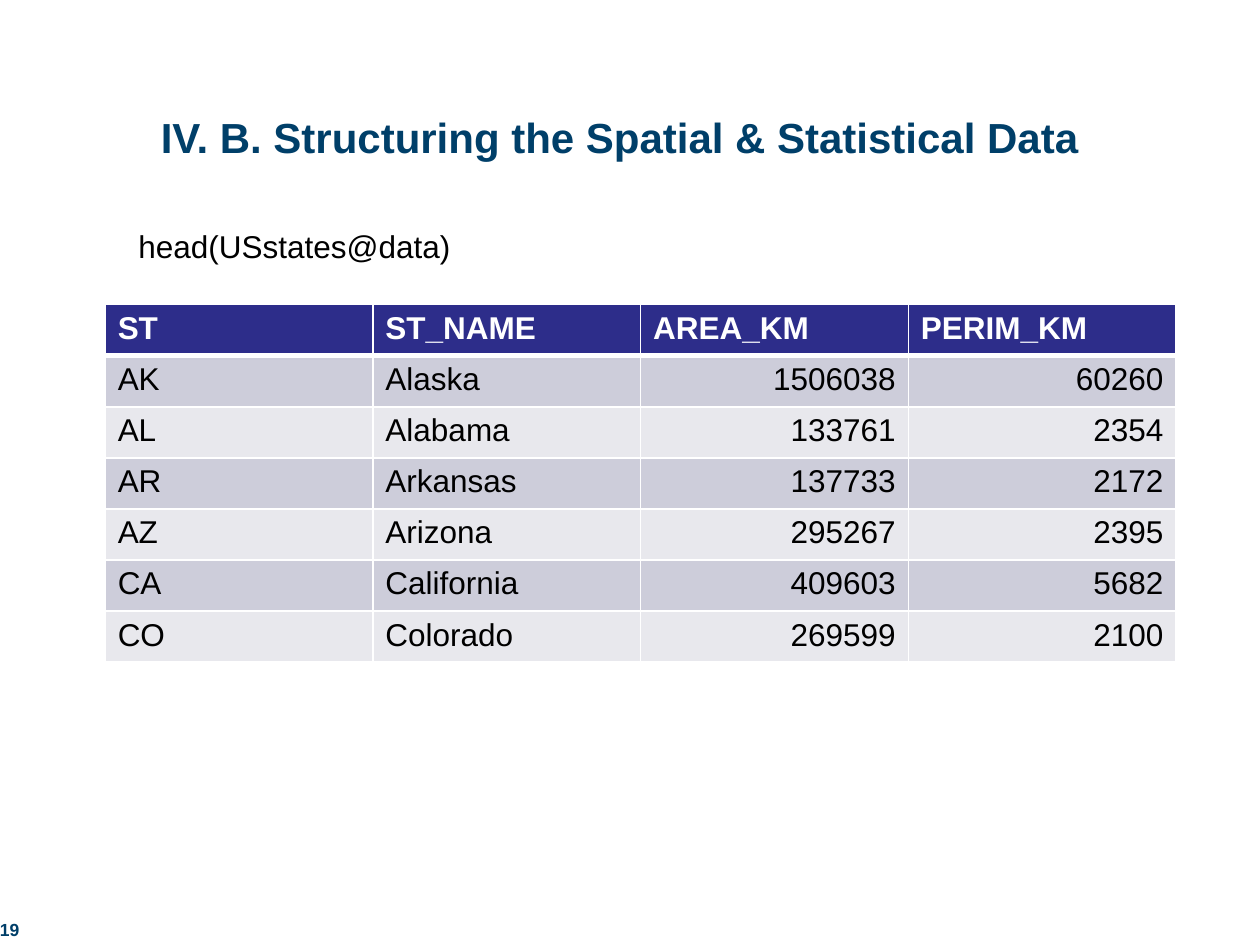
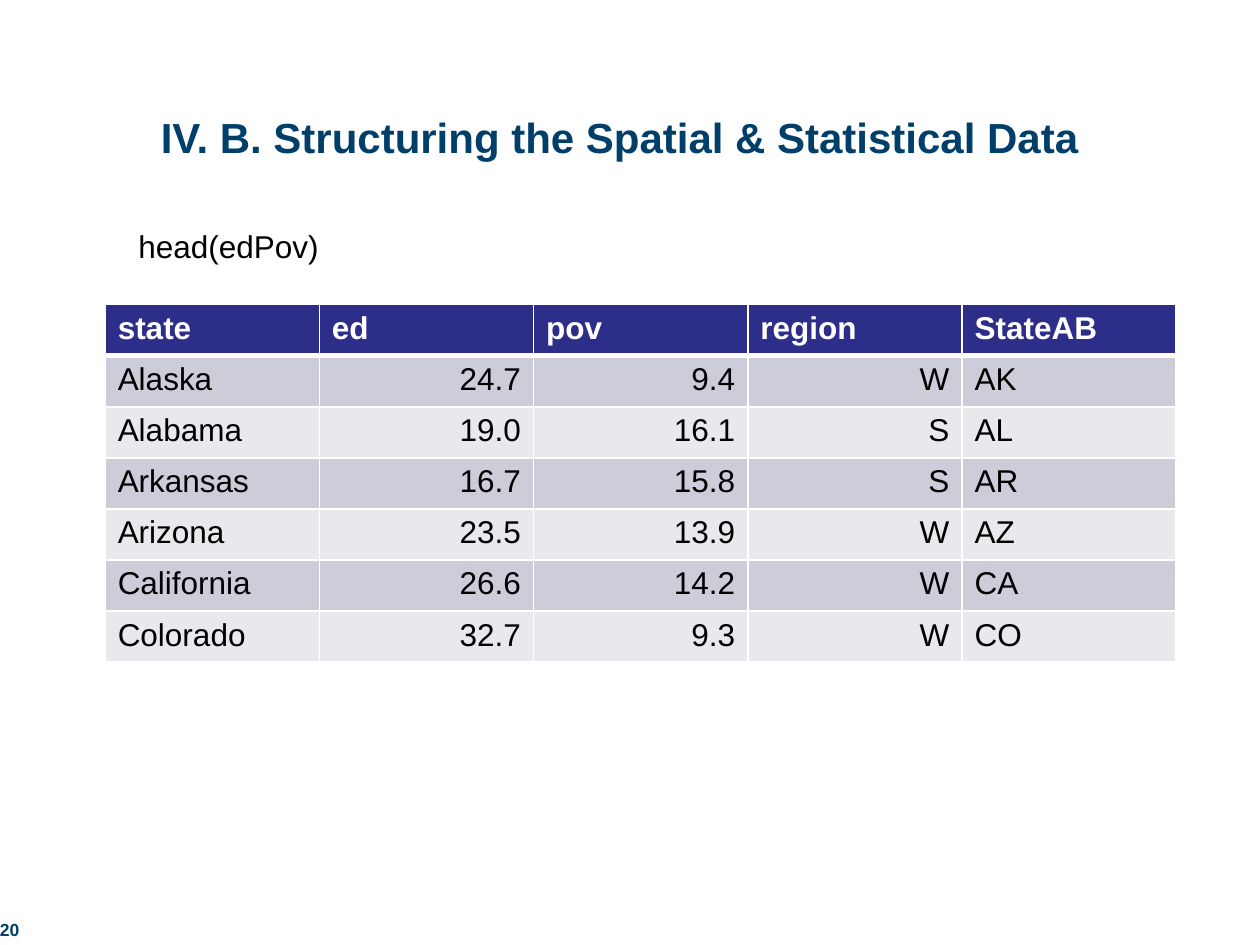
from lxml import etree
from pptx import Presentation
from pptx import util as u
from pptx.dml.color import RGBColor
from pptx.enum import text
from pptx.oxml import ns

COLORS = {
    "title": "003F69",
    "header": "2D2D8A",
    "dark_band": "CDCDDA",
    "light_band": "E8E8ED",
    "white": "FFFFFF",
    "black": "000000",
}
FONT = "Arial"
TITLE = "IV. B. Structuring the Spatial & Statistical Data"
FIRST_PAGE = 19

# Each page: command, alignment of the body columns (l or r), header, rows
PAGES = [
    ("head(USstates@data)", "llrr",
     ("ST", "ST_NAME", "AREA_KM", "PERIM_KM"),
     [("AK", "Alaska", "1506038", "60260"),
      ("AL", "Alabama", "133761", "2354"),
      ("AR", "Arkansas", "137733", "2172"),
      ("AZ", "Arizona", "295267", "2395"),
      ("CA", "California", "409603", "5682"),
      ("CO", "Colorado", "269599", "2100")]),
    ("head(edPov)", "lrrrl",
     ("state", "ed", "pov", "region", "StateAB"),
     [("Alaska", "24.7", "9.4", "W", "AK"),
      ("Alabama", "19.0", "16.1", "S", "AL"),
      ("Arkansas", "16.7", "15.8", "S", "AR"),
      ("Arizona", "23.5", "13.9", "W", "AZ"),
      ("California", "26.6", "14.2", "W", "CA"),
      ("Colorado", "32.7", "9.3", "W", "CO")]),
]


class Style:
    """Holds the look of the deck and the slide being filled."""

    aligns = {"l": text.PP_ALIGN.LEFT, "c": text.PP_ALIGN.CENTER,
              "r": text.PP_ALIGN.RIGHT}

    def __init__(self, deck):
        self.deck = deck
        self.page = None

    def new_page(self):
        self.page = self.deck.slides.add_slide(self.deck.slide_layouts[6])

    def set_text(self, para, words, size, color, bold=False, align="l"):
        para.text = words
        para.alignment = self.aligns[align]
        para.font.name = FONT
        para.font.size = u.Pt(size)
        para.font.bold = bold
        para.font.color.rgb = RGBColor.from_string(COLORS[color])

    def text_box(self, place, words, size, color, bold=False, align="l",
                 wrap=True, middle=True, inset=True):
        box = self.page.shapes.add_textbox(*map(u.Cm, place))
        frame = box.text_frame
        frame.word_wrap = wrap
        if middle:
            frame.vertical_anchor = text.MSO_ANCHOR.MIDDLE
        if not inset:
            frame.margin_left = frame.margin_right = 0
            frame.margin_top = frame.margin_bottom = 0
        self.set_text(frame.paragraphs[0], words, size, color, bold, align)
        return box

    def title(self, words):
        self.text_box((1.7, 2.33, 21.59, 0.85), words, 24, "title",
                      bold=True, align="c")

    def command(self, words):
        box = self.text_box((2.54, 4.45, 6.86, 1.03), words, 18, "black",
                            wrap=False, middle=False)
        box.text_frame.auto_size = text.MSO_AUTO_SIZE.SHAPE_TO_FIT_TEXT

    def page_number(self, number):
        self.text_box((0, 18.42, 5.29, 0.63), str(number), 10, "title",
                      bold=True, inset=False)

    def borders(self, cell, top, bottom):
        properties = cell._tc.get_or_add_tcPr()
        for side, points in zip("LRTB", (1, 1, top, bottom)):
            line = etree.SubElement(properties, ns.qn(f"a:ln{side}"),
                                    w=str(u.Pt(points)))
            fill = etree.SubElement(line, ns.qn("a:solidFill"))
            etree.SubElement(fill, ns.qn("a:srgbClr"), val=COLORS["white"])

    def table(self, header, rows, aligns):
        width, row_height = u.Cm(21.59), u.Cm(1.03)
        lines = [header, *rows]
        table = self.page.shapes.add_table(
            len(lines), len(header), u.Cm(2.12), u.Cm(6.14),
            width, row_height * len(lines)).table
        for column in table.columns:
            column.width = width // len(header)
        for r, values in enumerate(lines):
            is_header = r == 0
            band = "header" if is_header else ("light_band", "dark_band")[r % 2]
            for c, value in enumerate(values):
                cell = table.cell(r, c)
                # A thick rule separates the header from the body
                self.borders(cell, top=3 if r == 1 else 1,
                             bottom=3 if is_header else 1)
                cell.fill.solid()
                cell.fill.fore_color.rgb = RGBColor.from_string(COLORS[band])
                self.set_text(cell.text_frame.paragraphs[0], value, 18,
                              "white" if is_header else "black", is_header,
                              "l" if is_header else aligns[c])


def main():
    deck = Presentation()
    deck.slide_width, deck.slide_height = u.Cm(25.4), u.Cm(19.05)
    style = Style(deck)
    for number, (command, aligns, header, rows) in enumerate(PAGES, FIRST_PAGE):
        style.new_page()
        style.title(TITLE)
        style.table(header, rows, aligns)
        style.page_number(number)
        style.command(command)
    deck.save("out.pptx")


if __name__ == "__main__":
    main()
